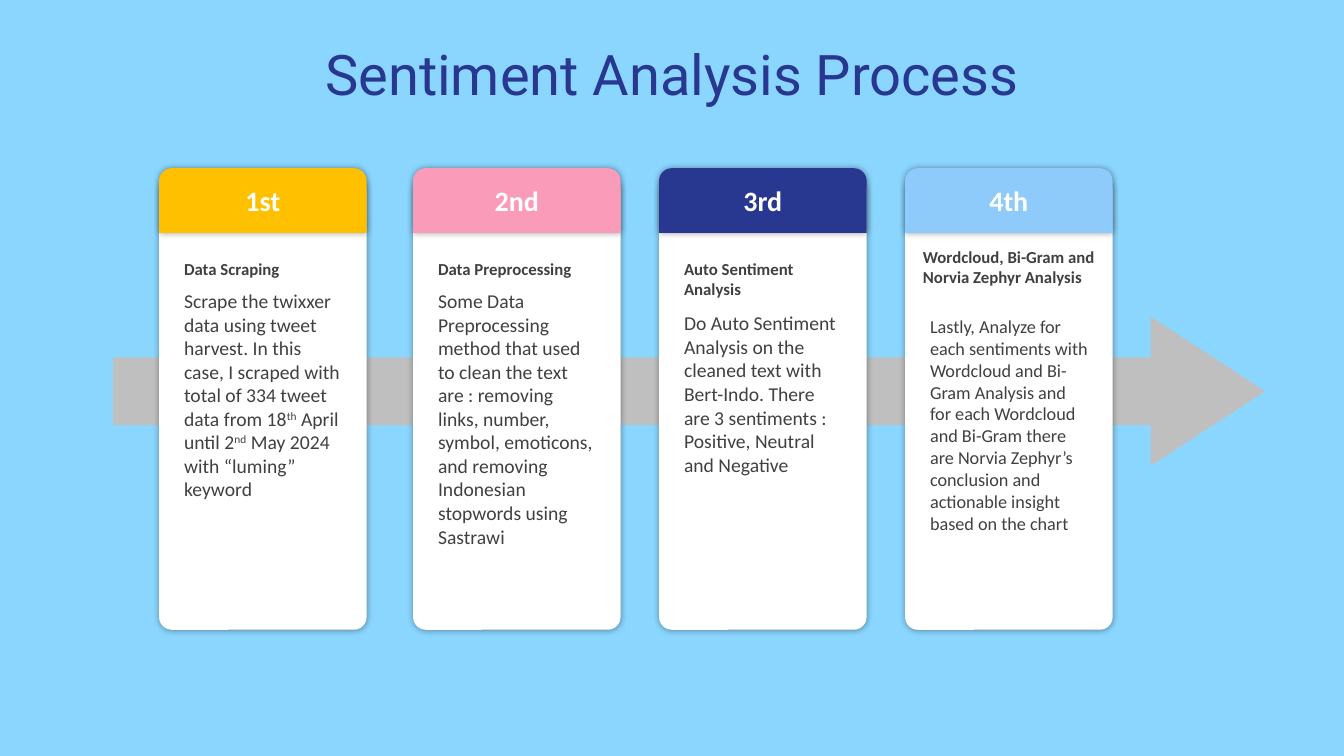
from lxml import etree
from pptx import Presentation
from pptx import util as u
from pptx.dml.color import RGBColor
from pptx.enum import shapes, text
from pptx.oxml.ns import qn

SKY = RGBColor(0x8B, 0xD6, 0xFF)
GRAY = RGBColor(0xBF, 0xBF, 0xBF)
WHITE = RGBColor(0xFF, 0xFF, 0xFF)
BLACK_HEX = "000000"
DARK = RGBColor(0x40, 0x40, 0x40)
AMBER = RGBColor(0xFF, 0xC0, 0x00)
PINK = RGBColor(0xFA, 0x9B, 0xB9)
NAVY = RGBColor(0x28, 0x37, 0x90)
PALE_BLUE = RGBColor(0x8E, 0xCA, 0xFA)

presentation = Presentation()
presentation.slide_width = u.Cm(33.87)
presentation.slide_height = u.Cm(19.05)
slide = presentation.slides.add_slide(presentation.slide_layouts[6])
slide.background.fill.solid()
slide.background.fill.fore_color.rgb = SKY


def add_block(kind, box, adjustments, color, shadowed=True):
    shape = slide.shapes.add_shape(kind, *[u.Cm(value) for value in box])
    for index, adjustment in enumerate(adjustments):
        shape.adjustments[index] = adjustment
    shape.fill.solid()
    shape.fill.fore_color.rgb = color
    shape.line.fill.background()
    shape.shadow.inherit = False
    if shadowed:
        effects = shape._element.spPr.find(qn("a:effectLst"))
        shadow = etree.SubElement(effects, qn("a:outerShdw"), blurRad=str(u.Pt(5)),
                                  dist="0", algn="ctr", rotWithShape="0")
        shadow_color = etree.SubElement(shadow, qn("a:srgbClr"), val=BLACK_HEX)
        etree.SubElement(shadow_color, qn("a:alpha"), val="40000")


def add_text(box, runs, size, color, bold=False, font="Calibri", align=text.PP_ALIGN.LEFT):
    text_box = slide.shapes.add_textbox(*[u.Cm(value) for value in box])
    text_box.text_frame.word_wrap = True
    paragraph = text_box.text_frame.paragraphs[0]
    paragraph.alignment = align
    for index, wording in enumerate(runs):
        run = paragraph.add_run()
        run.text = wording
        run.font.size = u.Pt(size)
        run.font.name = font
        run.font.bold = bold
        run.font.color.rgb = color
        if index % 2:
            run._r.get_or_add_rPr().set("baseline", "30000")


add_block(shapes.MSO_SHAPE.RIGHT_ARROW, (2.85, 7.98, 29.03, 3.76), (0.453, 0.766), GRAY, False)

STEPS = [
    (4.01, AMBER, "1st", "Data Scraping", (0.38, 6.4, 4.5), 7.16, 14,
     ["Scrape the twixxer data using tweet harvest. In this case, I scraped with total "
      "of 334 tweet data from 18", "th", " April until 2", "nd",
      " May 2024 with “luming” keyword"]),
    (10.41, PINK, "2nd", "Data Preprocessing", (0.38, 6.4, 4.5), 7.16, 14,
     ["Some Data Preprocessing method that used to clean the text are : removing links, "
      "number, symbol, emoticons, and removing Indonesian stopwords using Sastrawi"]),
    (16.61, NAVY, "3rd", "Auto Sentiment Analysis", (0.38, 6.4, 4.5), 7.72, 14,
     ["Do Auto Sentiment Analysis on the cleaned text with Bert-Indo. There are "
      "3 sentiments : Positive, Neutral and Negative"]),
    (22.81, PALE_BLUE, "4th", "Wordcloud, Bi-Gram and Norvia Zephyr Analysis",
     (0.2, 6.1, 4.86), 7.82, 13,
     ["Lastly, Analyze for each sentiments with Wordcloud and Bi-Gram Analysis and for each "
      "Wordcloud and Bi-Gram there are Norvia Zephyr’s conclusion and actionable insight "
      "based on the chart"]),
]

for left, color, ordinal, heading, heading_place, body_top, body_size, body in STEPS:
    indent, heading_top, heading_width = heading_place
    add_block(shapes.MSO_SHAPE.ROUNDED_RECTANGLE, (left, 4.47, 5.23, 11.4), (0.061,), WHITE)
    add_block(shapes.MSO_SHAPE.ROUND_2_SAME_RECTANGLE, (left, 4.24, 5.23, 1.63), (0.195, 0), color)
    add_text((left + 1.37, 4.5, 2.49, 1.12), [ordinal], 20, WHITE, True,
             align=text.PP_ALIGN.CENTER)
    add_text((left + indent, heading_top, heading_width, 0.76), [heading], 12, DARK, True)
    add_text((left + 0.38, body_top, 4.5, 6.5), body, body_size, DARK)

add_text((4.75, 0.86, 24.36, 1.96), ["Sentiment Analysis Process"], 40, NAVY,
         font="Roboto", align=text.PP_ALIGN.CENTER)

presentation.save("out.pptx")
